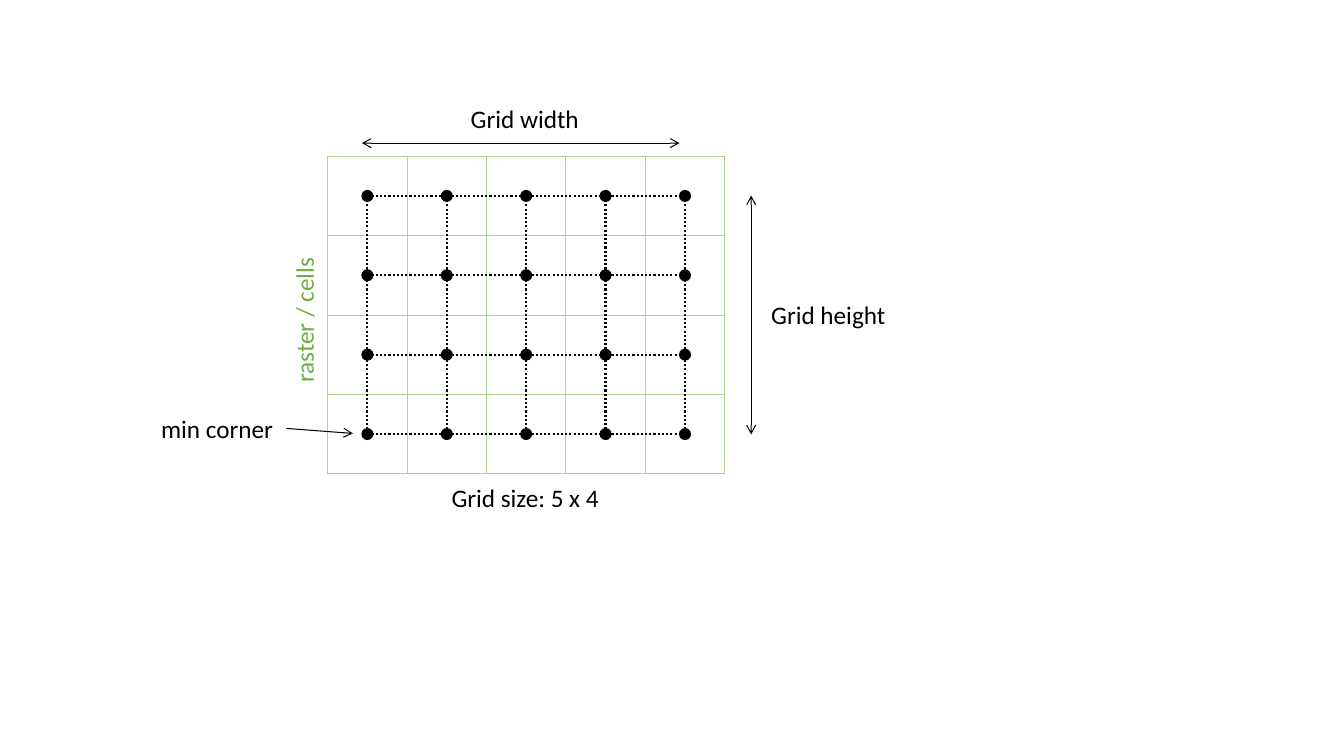
"""Build a slide that explains the size and corner of a point grid."""
from lxml import etree
from pptx import Presentation
from pptx.dml.color import RGBColor
from pptx.enum.dml import MSO_LINE
from pptx.enum.shapes import MSO_CONNECTOR, MSO_SHAPE
from pptx.enum.text import MSO_AUTO_SIZE
from pptx.oxml.ns import qn
from pptx.util import Inches, Pt

BLACK = RGBColor(0x00, 0x00, 0x00)
GREEN = RGBColor(0x70, 0xAD, 0x47)
PALE = RGBColor(0xAE, 0xD3, 0x95)
STRAIGHT = MSO_CONNECTOR.STRAIGHT
OVAL = MSO_SHAPE.OVAL
DOTTED = MSO_LINE.ROUND_DOT
FIT = MSO_AUTO_SIZE.SHAPE_TO_FIT_TEXT

COLS, ROWS = 5, 4
LEFT, TOP = 3.25, 1.55
CELL = 3.15 / ROWS
DOT = 0.12

RASTER = {"color": PALE, "width": 0.5}
LATTICE = {"color": BLACK, "width": 1.5, "dash": DOTTED}
ARROW = {"color": BLACK, "width": 0.75}

ARROWS = [
    ((2.84, 4.25), (3.5, 4.3), ["a:tailEnd"]),
    ((3.59, 1.42), (6.74, 1.42), ["a:headEnd", "a:tailEnd"]),
    ((7.45, 1.94), (7.45, 4.31), ["a:headEnd", "a:tailEnd"]),
]
LABELS = [
    ("min corner", 1.5, 4.05, 1.34, 0, BLACK),
    ("Grid size: 5 x 4", 4.38, 4.74, 1.68, 0, BLACK),
    ("Grid width", 4.57, 0.98, 1.29, 0, BLACK),
    ("Grid height", 7.55, 2.92, 1.35, 0, BLACK),
    ("raster / cells", 2.26, 2.94, 1.51, 270, GREEN),
]


def add_line(shapes, start, end, style, ends=()):
    link = shapes.add_connector(STRAIGHT, *map(Inches, start + end))
    link.line.color.rgb = style["color"]
    link.line.width = Pt(style["width"])
    if "dash" in style:
        link.line.dash_style = style["dash"]
    props = link.element.spPr
    for tag in ends:
        etree.SubElement(props.find(qn("a:ln")), qn(tag), type="arrow")
    etree.SubElement(props, qn("a:effectLst"))


def add_mesh(shapes, left, top, cols, rows, style):
    right, base = left + cols * CELL, top + rows * CELL
    for col in range(cols + 1):
        x = left + col * CELL
        add_line(shapes, (x, top), (x, base), style)
    for row in range(rows + 1):
        y = top + row * CELL
        add_line(shapes, (left, y), (right, y), style)


def add_dot(shapes, x, y):
    dot = shapes.add_shape(OVAL, Inches(x - DOT / 2), Inches(y - DOT / 2),
                           Inches(DOT), Inches(DOT))
    dot.shadow.inherit = False
    dot.fill.solid()
    dot.fill.fore_color.rgb = BLACK
    dot.line.fill.background()


def add_label(shapes, text, left, top, width, turn, color):
    box = shapes.add_textbox(*map(Inches, (left, top, width, 0.4)))
    box.rotation = turn
    frame = box.text_frame
    frame.word_wrap = False
    frame.auto_size = FIT
    run = frame.paragraphs[0].add_run()
    run.text = text
    for name, value in {"name": "Calibri", "size": Pt(18)}.items():
        setattr(run.font, name, value)
    run.font.color.rgb = color


def main():
    deck = Presentation()
    deck.slide_width, deck.slide_height = Inches(13.33), Inches(7.5)
    shapes = deck.slides.add_slide(deck.slide_layouts[6]).shapes
    left, top = LEFT + CELL / 2, TOP + CELL / 2
    add_mesh(shapes.add_group_shape().shapes, LEFT, TOP, COLS, ROWS, RASTER)
    add_mesh(shapes.add_group_shape().shapes, left, top,
             COLS - 1, ROWS - 1, LATTICE)
    for row in range(ROWS):
        group = shapes.add_group_shape().shapes
        for col in range(COLS):
            add_dot(group, left + col * CELL, top + row * CELL)
    for start, end, ends in ARROWS:
        add_line(shapes, start, end, ARROW, ends)
    for label in LABELS:
        add_label(shapes, *label)
    deck.save("out.pptx")


if __name__ == "__main__":
    main()
